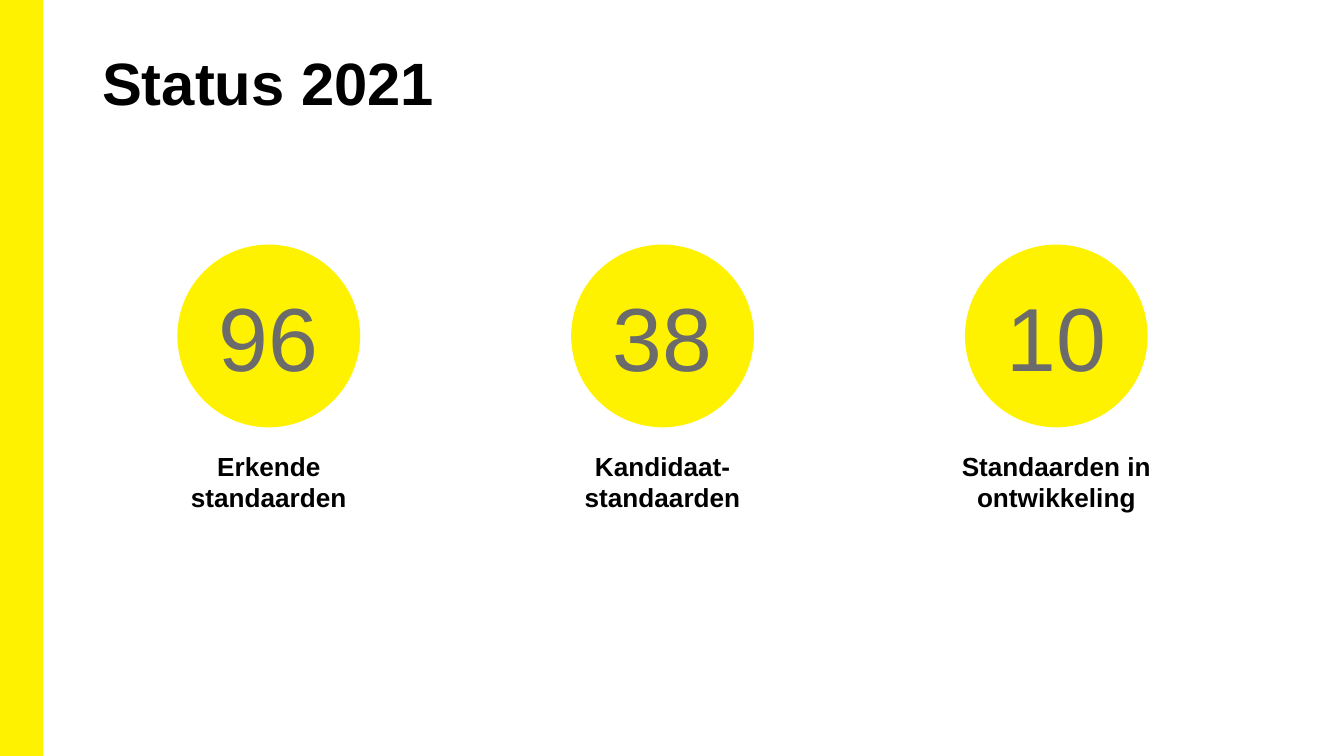
from pptx import Presentation
from pptx import util as u
from pptx.dml.color import RGBColor
from pptx.enum import shapes, text

# Content
TITLE = "Status 2021"
STATUS = [
    ("96", "Erkende standaarden"),
    ("38", "Kandidaat- standaarden"),
    ("10", "Standaarden in ontwikkeling"),
]

# Look
YELLOW = RGBColor(0xFF, 0xF2, 0x00)
GREY = RGBColor(0x6B, 0x6B, 0x6B)
BLACK = RGBColor(0, 0, 0)
TITLE_FONT = {"name": "Arial", "size": u.Pt(32), "bold": True}
COUNT_FONT = {"name": "Arial", "size": u.Pt(48), "bold": False}
LABEL_FONT = {"name": "Arial", "size": u.Pt(14), "bold": True}
TOP, MIDDLE = text.MSO_ANCHOR.TOP, text.MSO_ANCHOR.MIDDLE
LEFT, CENTER = text.PP_ALIGN.LEFT, text.PP_ALIGN.CENTER

# Grid in inches, on a 16:9 slide
WIDTH = 10
HEIGHT = WIDTH * 9 / 16
BAR_WIDTH = 0.31
FIRST_CENTER, COLUMN_STEP = 2, 2.93
CIRCLE_TOP, CIRCLE_SIZE = 1.82, 1.36
LABEL_TOP, LABEL_WIDTH, LABEL_HEIGHT = 3.3, 1.62, 0.57


def box(*lengths):
    return [u.Inches(length) for length in lengths]


def write(part, words, font, color, align, anchor, insets=(0.1, 0.05)):
    frame = part.text_frame
    frame.word_wrap = True
    frame.auto_size = text.MSO_AUTO_SIZE.NONE
    frame.vertical_anchor = anchor
    frame.margin_left = frame.margin_right = u.Inches(insets[0])
    frame.margin_top = frame.margin_bottom = u.Inches(insets[1])
    paragraph = frame.paragraphs[0]
    paragraph.alignment = align
    paragraph.line_spacing = 1.0
    run = paragraph.add_run()
    run.text = words
    for key, value in font.items():
        setattr(run.font, key, value)
    run.font.color.rgb = color


def add_yellow(slide, kind, place):
    part = slide.shapes.add_shape(kind, *place)
    part.shadow.inherit = False
    part.fill.solid()
    part.fill.fore_color.rgb = YELLOW
    part.line.fill.background()
    return part


deck = Presentation()
deck.slide_width, deck.slide_height = box(WIDTH, HEIGHT)
slide = deck.slides.add_slide(deck.slide_layouts[5])

# Side bar
bar = add_yellow(slide, shapes.MSO_SHAPE.RECTANGLE, box(0, 0, BAR_WIDTH, HEIGHT))
bar.line.color.rgb = YELLOW
bar.line.width = u.Pt(1)

# Title
title = slide.shapes.title
title.left, title.top, title.width, title.height = box(0.69, 0.3, 8.62, 0.81)
write(title, TITLE, TITLE_FONT, BLACK, LEFT, TOP, insets=(0.07, 0.04))

# One column per status: a count in a circle with its label below
for column, (count, label) in enumerate(STATUS):
    center = FIRST_CENTER + column * COLUMN_STEP
    circle = add_yellow(slide, shapes.MSO_SHAPE.OVAL,
                        box(center - CIRCLE_SIZE / 2, CIRCLE_TOP, CIRCLE_SIZE, CIRCLE_SIZE))
    write(circle, count, COUNT_FONT, GREY, CENTER, MIDDLE)
    caption = slide.shapes.add_textbox(
        *box(center - LABEL_WIDTH / 2, LABEL_TOP, LABEL_WIDTH, LABEL_HEIGHT))
    write(caption, label, LABEL_FONT, BLACK, CENTER, TOP)

deck.save("out.pptx")
